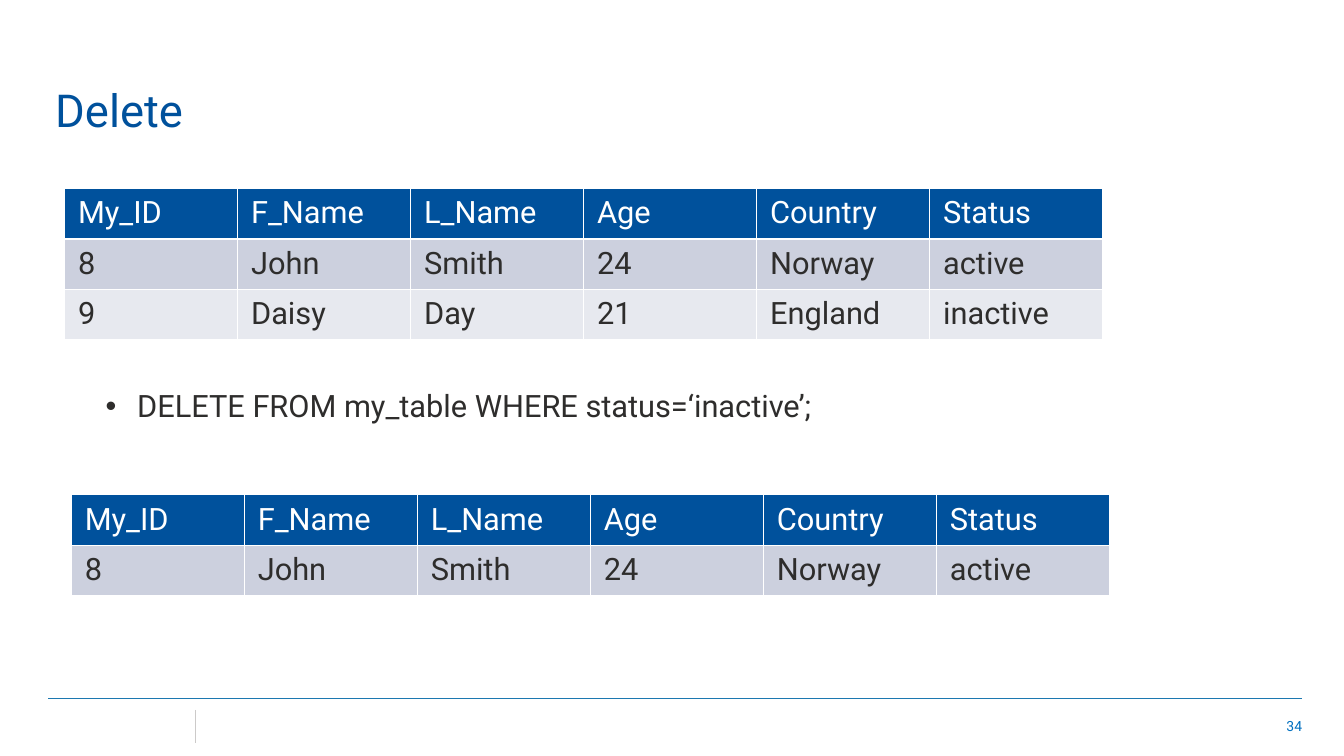
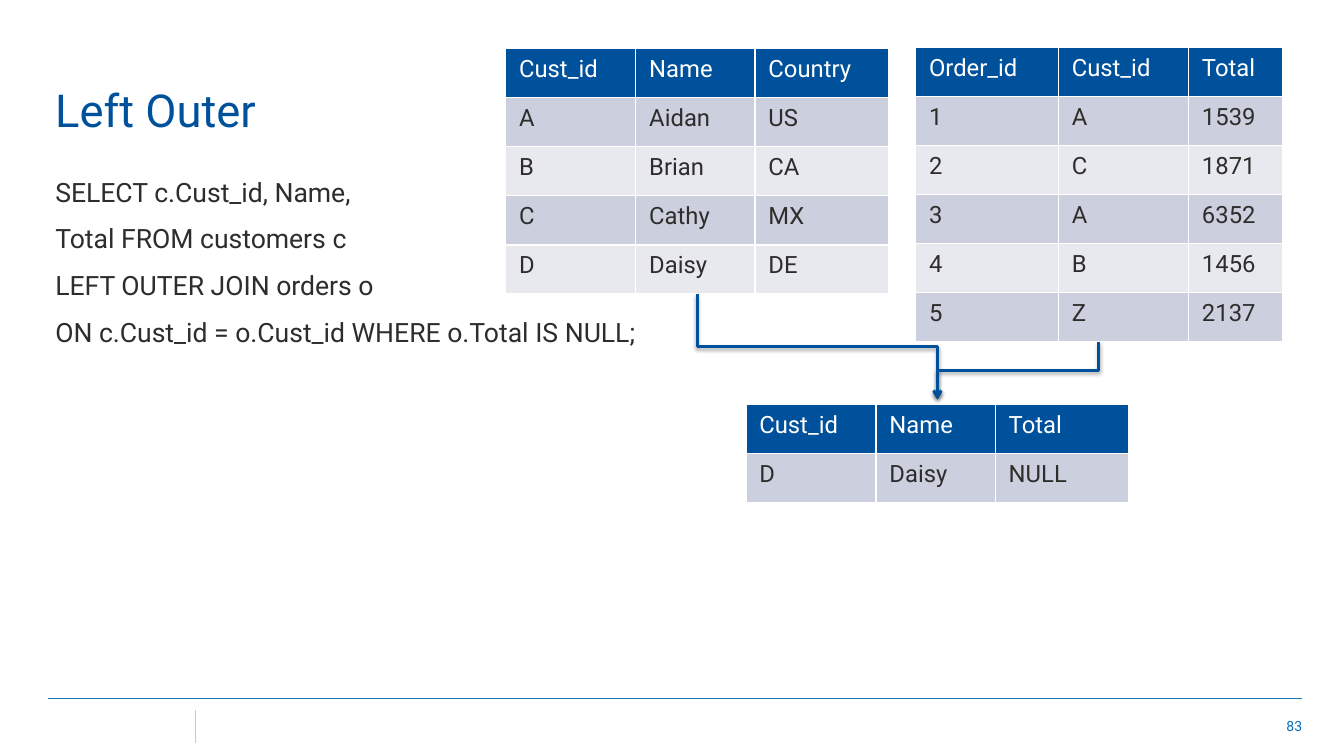
from dataclasses import dataclass
from itertools import accumulate

from lxml import etree
from pptx import Presentation
from pptx.dml.color import RGBColor
from pptx.enum.shapes import MSO_CONNECTOR
from pptx.enum.text import MSO_ANCHOR, PP_ALIGN
from pptx.oxml.ns import qn
from pptx.slide import Slide
from pptx.util import Emu, Pt

LINE, ELBOW = MSO_CONNECTOR.STRAIGHT, MSO_CONNECTOR.ELBOW
TOP, MID, LOW = MSO_ANCHOR.TOP, MSO_ANCHOR.MIDDLE, MSO_ANCHOR.BOTTOM
LEFT, RIGHT = PP_ALIGN.LEFT, PP_ALIGN.RIGHT

COLS, ROWS = 160, 90
UNIT = 76200
FONT = "Roboto"
BLUE, INK, WHITE = "00519C", "2E2D2C", "FFFFFF"
BANDS = ("CCD0DE", "E7E9EF")
RULE, EDGE, PAGE = "1C78B0", "CCCAC9", "0070C0"
ROW = 5.84
GAP = 0.6


def size(n: float) -> Emu:
    return Emu(round(n * UNIT))


def color(code: str) -> RGBColor:
    return RGBColor.from_string(code)


@dataclass(frozen=True)
class Box:
    x: float
    y: float
    w: float
    h: float


@dataclass(frozen=True)
class Style:
    pt: float
    ink: str
    align: PP_ALIGN = LEFT
    anchor: MSO_ANCHOR = TOP
    before: float = 0
    after: float = 0
    bullet: bool = False


@dataclass(frozen=True)
class Grid:
    x: float
    y: float
    widths: tuple[float, ...]
    data: tuple[str, ...]
    pt: float

    @property
    def mid(self) -> float:
        return self.x + sum(self.widths) / 2

    @property
    def end(self) -> float:
        return self.y + ROW * len(self.data)


TITLE = Box(5.4, 8.5, 119.8, 8.3)
BODY = Box(5.4, 20.3, 149.6, 59.6)
QUERY = Box(5.4, 45.5, 149.6, 6)
FOOT = Box(118.9, 84, 37.3, 4.8)
HEAD = Style(32.4, BLUE, anchor=LOW)
CODE = Style(19, INK, before=2, after=8.7)
ITEM = Style(22, INK, bullet=True)
NUMBER = Style(10, PAGE, RIGHT, MID)

WIDE = (20.6,) * 6
TRIO = (15.5, 14.2, 15.9)
FIELDS = "My_ID F_Name L_Name Age Country Status"
JOHN = "8 John Smith 24 Norway active"
PRIOR = Grid(7.7, 22.45, WIDE, (FIELDS, JOHN, "9 Daisy Day 21 England inactive"), 22)
AFTER = Grid(8.5, 58.9, WIDE, (FIELDS, JOHN), 22)
BUYERS = Grid(60.2, 5.8, TRIO, (
    "Cust_id Name Country", "A Aidan US", "B Brian CA", "C Cathy MX", "D Daisy DE"), 17)
ORDERS = Grid(109, 5.65, (17, 15.5, 11.15), (
    "Order_id Cust_id Total", "1 A 1539", "2 C 1871", "3 A 6352", "4 B 1456", "5 Z 2137"), 17)
RESULT = Grid(88.8, 48.15, TRIO, ("Cust_id Name Total", "D Daisy NULL"), 17)


def add(parent: etree._Element, tag: str, **attrs: object) -> etree._Element:
    return etree.SubElement(parent, qn(tag), {k: str(v) for k, v in attrs.items()})


def write(slide: Slide, box: Box, style: Style, *lines: str) -> None:
    frame = slide.shapes.add_textbox(*map(size, (box.x, box.y, box.w, box.h))).text_frame
    frame.word_wrap = True
    frame.vertical_anchor = style.anchor
    frame.text = "\n".join(lines)
    for para in frame.paragraphs:
        para.alignment = style.align
        para.space_before, para.space_after = Pt(style.before), Pt(style.after)
        if style.bullet:
            props = para._p.get_or_add_pPr()
            props.set("marL", str(size(9.75)))
            props.set("indent", str(size(-3.75)))
            add(props, "a:buFont", typeface="Arial")
            add(props, "a:buChar", char="•")
        font = para.font
        font.name, font.size = FONT, Pt(style.pt)
        font.color.rgb = color(style.ink)


def edge(cell: etree._Element) -> None:
    props = cell.get_or_add_tcPr()
    for spot, side in enumerate("LRTB"):
        line = etree.Element(qn(f"a:ln{side}"), w=str(Pt(1)))
        add(add(line, "a:solidFill"), "a:srgbClr", val=WHITE)
        props.insert(spot, line)


def tabulate(slide: Slide, grid: Grid) -> None:
    count = len(grid.data)
    table = slide.shapes.add_table(
        count, len(grid.widths), size(grid.x), size(grid.y),
        size(sum(grid.widths)), size(ROW * count)).table
    table.first_row = table.horz_banding = False
    marks = [0, *accumulate(grid.widths)]
    for col, start, stop in zip(table.columns, marks, marks[1:]):
        col.width = size(stop) - size(start)
    for i, text in enumerate(grid.data):
        table.rows[i].height = size(ROW)
        for j, word in enumerate(text.split()):
            cell = table.cell(i, j)
            cell.text = word
            cell.margin_left = cell.margin_right = size(1.6)
            cell.margin_top = cell.margin_bottom = size(0.8)
            cell.fill.solid()
            cell.fill.fore_color.rgb = color(BANDS[(i - 1) % 2] if i else BLUE)
            edge(cell._tc)
            font = cell.text_frame.paragraphs[0].font
            font.name, font.size = FONT, Pt(grid.pt)
            font.color.rgb = color(INK if i else WHITE)


def rule(slide: Slide, x: float, y: float, right: float, low: float, ink: str) -> None:
    line = slide.shapes.add_connector(LINE, *map(size, (x, y, right, low)))
    line.line.color.rgb, line.line.width = color(ink), Pt(0.25)
    add(line._element.spPr, "a:effectLst")


def link(slide: Slide, source: Grid, goal: Grid) -> None:
    x, y, low = source.mid, source.end, goal.y - GAP
    mid, center = (x + goal.mid) / 2, (y + low) / 2
    half, reach = (low - y) / 2, abs(goal.mid - x) / 2
    turn, side = (270, half) if goal.mid > x else (90, -half)
    arrow = slide.shapes.add_connector(ELBOW, *map(size, (
        mid + side, center - reach, mid - side, center + reach)))
    arrow.line.color.rgb, arrow.line.width = color(BLUE), Pt(2)
    props = arrow._element.spPr
    props.find(qn("a:xfrm")).set("rot", str(turn * 60000))
    add(props.find(qn("a:ln")), "a:tailEnd", type="arrow")
    shade = add(add(props, "a:effectLst"), "a:outerShdw", blurRad=Pt(3.1),
                dist=Pt(1.6), dir=5400000, rotWithShape=0)
    add(add(shade, "a:srgbClr", val="000000"), "a:alpha", val=38000)


def start(deck: Presentation, title: str, page: int) -> Slide:
    slide = deck.slides.add_slide(deck.slide_layouts[6])
    write(slide, FOOT, NUMBER, str(page))
    rule(slide, 5.75, 83.15, 155, 83.15, RULE)
    rule(slide, 23.2, 84.5, 23.2, 88.4, EDGE)
    write(slide, TITLE, HEAD, title)
    return slide


def delete(deck: Presentation) -> None:
    slide = start(deck, "Delete", 34)
    write(slide, QUERY, ITEM, "DELETE FROM my_table WHERE status=‘inactive’;")
    for grid in (PRIOR, AFTER):
        tabulate(slide, grid)


def outer(deck: Presentation) -> None:
    slide = start(deck, "Left Outer", 83)
    write(slide, BODY, CODE, "SELECT c.Cust_id, Name,", "Total FROM customers c",
          "LEFT OUTER JOIN orders o", "ON c.Cust_id = o.Cust_id WHERE o.Total IS NULL;")
    for grid in (BUYERS, ORDERS, RESULT):
        tabulate(slide, grid)
    for grid in (BUYERS, ORDERS):
        link(slide, grid, RESULT)


def main() -> None:
    deck = Presentation()
    deck.slide_width, deck.slide_height = size(COLS), size(ROWS)
    delete(deck)
    outer(deck)
    deck.save("out.pptx")


if __name__ == "__main__":
    main()
